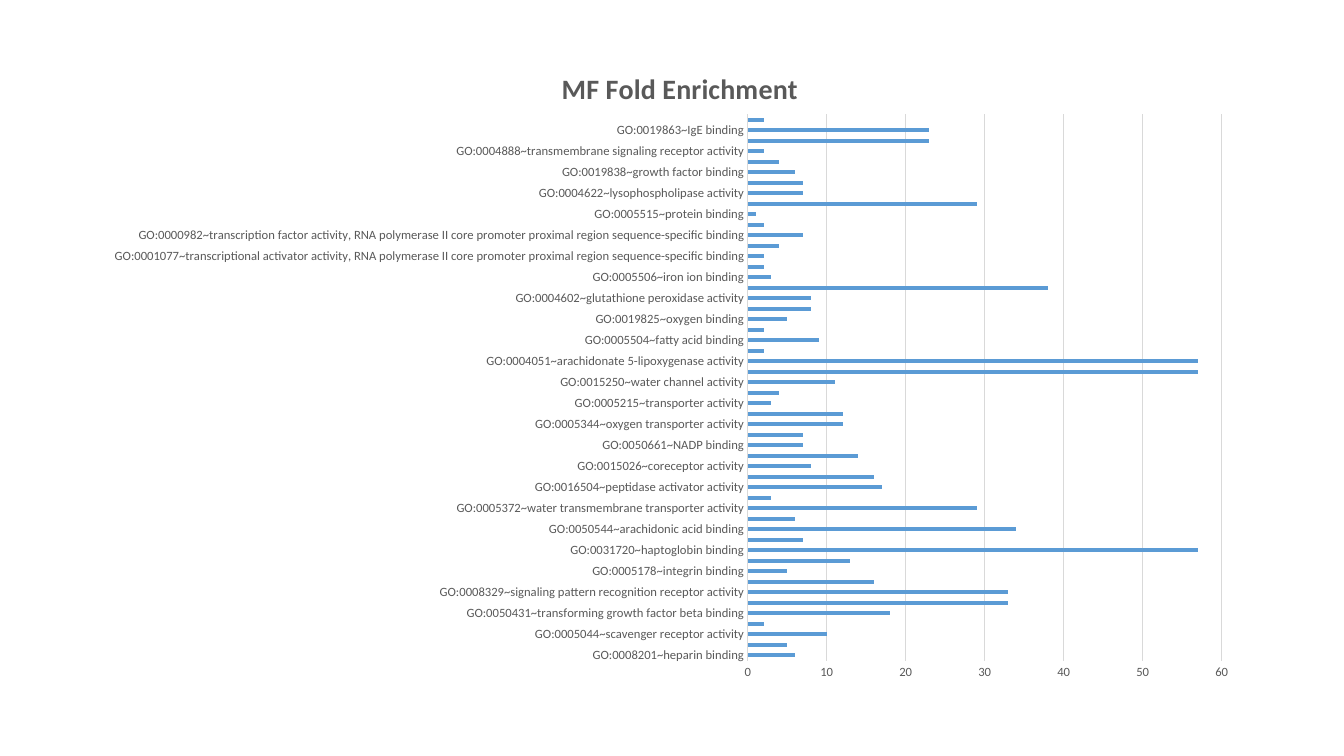
"""Build a slide with one bar chart of molecular function fold enrichment."""
from dataclasses import dataclass

from lxml.etree import SubElement
from pptx import Presentation
from pptx.chart.data import CategoryChartData
from pptx.dml.color import RGBColor
from pptx.enum.chart import XL_CHART_TYPE, XL_TICK_MARK
from pptx.oxml.ns import qn
from pptx.util import Emu, Pt


@dataclass(frozen=True)
class Theme:
    font: str = "Calibri"
    text: str = "595959"
    rule: str = "D9D9D9"
    bar: str = "5B9BD5"
    title: int = 20
    label: int = 9
    base: int = 10
    line: float = 0.75


THEME = Theme()
SCALE = 914400 / 100.8
TERMS = [
    ("GO:0008201~heparin binding", 6),
    ("GO:0030246~carbohydrate binding", 5),
    ("GO:0005044~scavenger receptor activity", 10),
    ("GO:0005509~calcium ion binding", 2),
    ("GO:0050431~transforming growth factor beta binding", 18),
    ("GO:0005024~transforming growth factor beta-activated receptor activity", 33),
    ("GO:0008329~signaling pattern recognition receptor activity", 33),
    ("GO:0005539~glycosaminoglycan binding", 16),
    ("GO:0005178~integrin binding", 5),
    ("GO:0004601~peroxidase activity", 13),
    ("GO:0031720~haptoglobin binding", 57),
    ("GO:0008009~chemokine activity", 7),
    ("GO:0050544~arachidonic acid binding", 34),
    ("GO:0005518~collagen binding", 6),
    ("GO:0005372~water transmembrane transporter activity", 29),
    ("GO:0020037~heme binding", 3),
    ("GO:0016504~peptidase activator activity", 17),
    ("GO:0050786~RAGE receptor binding", 16),
    ("GO:0015026~coreceptor activity", 8),
    ("GO:0015254~glycerol channel activity", 14),
    ("GO:0050661~NADP binding", 7),
    ("GO:0004364~glutathione transferase activity", 7),
    ("GO:0005344~oxygen transporter activity", 12),
    ("GO:0030247~polysaccharide binding", 12),
    ("GO:0005215~transporter activity", 3),
    ("GO:0047485~protein N-terminus binding", 4),
    ("GO:0015250~water channel activity", 11),
    ("GO:0019767~IgE receptor activity", 57),
    ("GO:0004051~arachidonate 5-lipoxygenase activity", 57),
    ("GO:0042802~identical protein binding", 2),
    ("GO:0005504~fatty acid binding", 9),
    ("GO:0005102~receptor binding", 2),
    ("GO:0019825~oxygen binding", 5),
    ("GO:0070412~R-SMAD binding", 8),
    ("GO:0004602~glutathione peroxidase activity", 8),
    ("GO:0004464~leukotriene-C4 synthase activity", 38),
    ("GO:0005506~iron ion binding", 3),
    ("GO:0042803~protein homodimerization activity", 2),
    ("GO:0001077~transcriptional activator activity, RNA polymerase II core promoter "
     "proximal region sequence-specific binding", 2),
    ("GO:0008047~enzyme activator activity", 4),
    ("GO:0000982~transcription factor activity, RNA polymerase II core promoter "
     "proximal region sequence-specific binding", 7),
    ("GO:0008134~transcription factor binding", 2),
    ("GO:0005515~protein binding", 1),
    ("GO:0019834~phospholipase A2 inhibitor activity", 29),
    ("GO:0004622~lysophospholipase activity", 7),
    ("GO:0050840~extracellular matrix binding", 7),
    ("GO:0019838~growth factor binding", 6),
    ("GO:0048306~calcium-dependent protein binding", 4),
    ("GO:0004888~transmembrane signaling receptor activity", 2),
    ("GO:0071813~lipoprotein particle binding", 23),
    ("GO:0019863~IgE binding", 23),
    ("GO:0004872~receptor activity", 2),
]


def px(size):
    return Emu(round(size * SCALE))


def assign(item, **values):
    for name, value in values.items():
        setattr(item, name, value)


def style(font, size, bold=False):
    assign(font, name=THEME.font, size=Pt(size), bold=bold)
    font.color.rgb = RGBColor.from_string(THEME.text)


def stroke(line):
    line.color.rgb = RGBColor.from_string(THEME.rule)
    line.width = Pt(THEME.line)


def place(parent, index, **values):
    for old in parent.findall(qn("c:layout")):
        parent.remove(old)
    layout = parent.makeelement(qn("c:layout"))
    parent.insert(index, layout)
    manual = SubElement(layout, qn("c:manualLayout"))
    for name, value in values.items():
        SubElement(manual, qn(f"c:{name}")).set("val", str(value))


def add_title(chart, text):
    chart.has_title = True
    title = chart.chart_title
    title.include_in_layout = False
    title.text_frame.text = text
    style(title.text_frame.paragraphs[0].runs[0].font, THEME.title, True)
    place(title._element, 1, xMode="edge", yMode="edge", x=0.4, y=0.04)


def set_axes(chart):
    marks = {"major_tick_mark": XL_TICK_MARK.NONE,
             "minor_tick_mark": XL_TICK_MARK.NONE}
    terms, folds = chart.category_axis, chart.value_axis
    for axis in (terms, folds):
        assign(axis, **marks)
        style(axis.tick_labels.font, THEME.label)
    stroke(terms.format.line)
    assign(folds, minimum_scale=0, maximum_scale=60, major_unit=10,
           has_major_gridlines=True)
    stroke(folds.major_gridlines.format.line)
    folds.format.line.fill.background()


def add_bars(slide, title, terms, left, top, width, height):
    data = CategoryChartData(number_format="General")
    names, folds = zip(*terms)
    data.categories = names
    data.add_series("Series 1", folds)
    frame = slide.shapes.add_chart(XL_CHART_TYPE.BAR_CLUSTERED, px(left), px(top),
                                   px(width), px(height), data)
    chart = frame.chart
    chart.has_legend = False
    assign(chart.font, name=THEME.font, size=Pt(THEME.base))
    add_title(chart, title)
    set_axes(chart)
    plot = chart.plots[0]
    assign(plot, gap_width=182, vary_by_categories=False)
    fill = plot.series[0].format.fill
    fill.solid()
    fill.fore_color.rgb = RGBColor.from_string(THEME.bar)
    area = chart._chartSpace.chart.plotArea
    place(area, 0, layoutTarget="inner", xMode="edge", yMode="edge",
          x=0.565, y=0.117, w=0.409, h=0.835)


def main():
    deck = Presentation()
    assign(deck, slide_width=px(1344), slide_height=px(756))
    slide = deck.slides.add_slide(deck.slide_layouts[6])
    add_bars(slide, "MF Fold Enrichment", TERMS, 93, 38, 1159, 654)
    deck.save("out.pptx")


if __name__ == "__main__":
    main()
